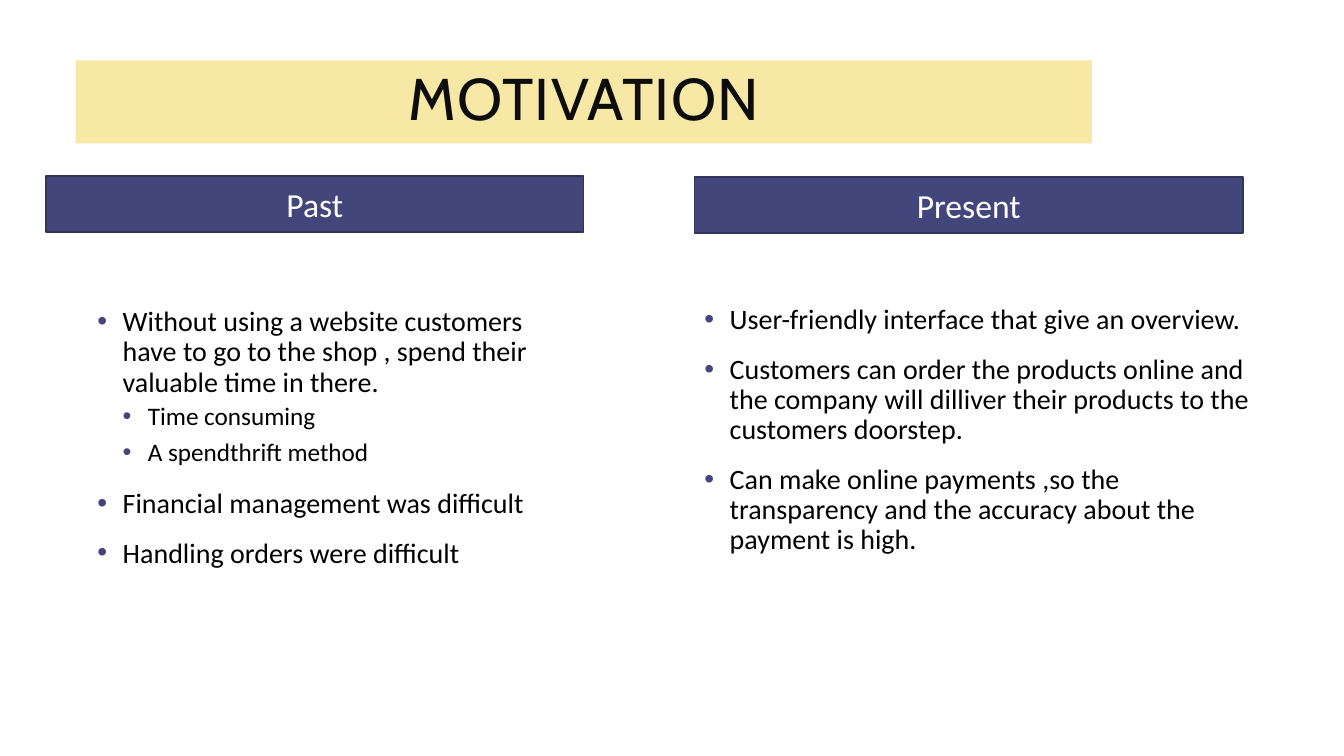
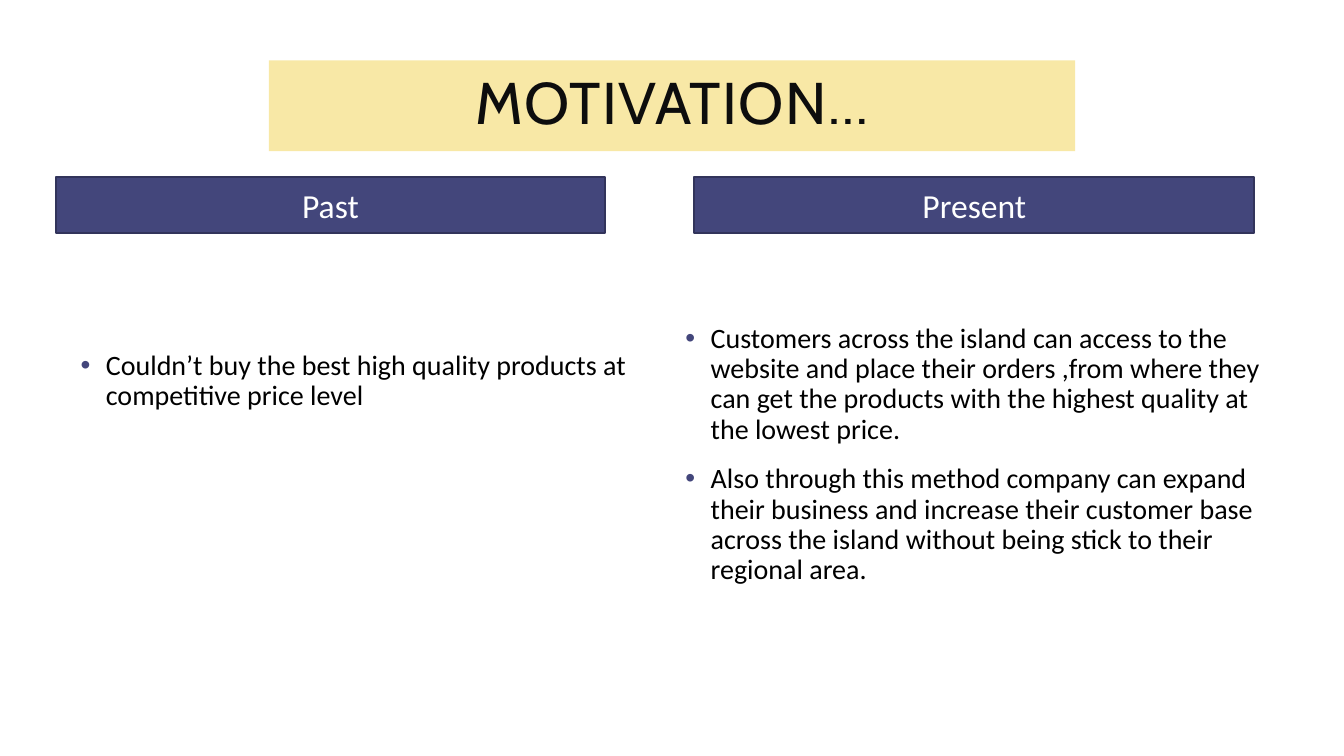
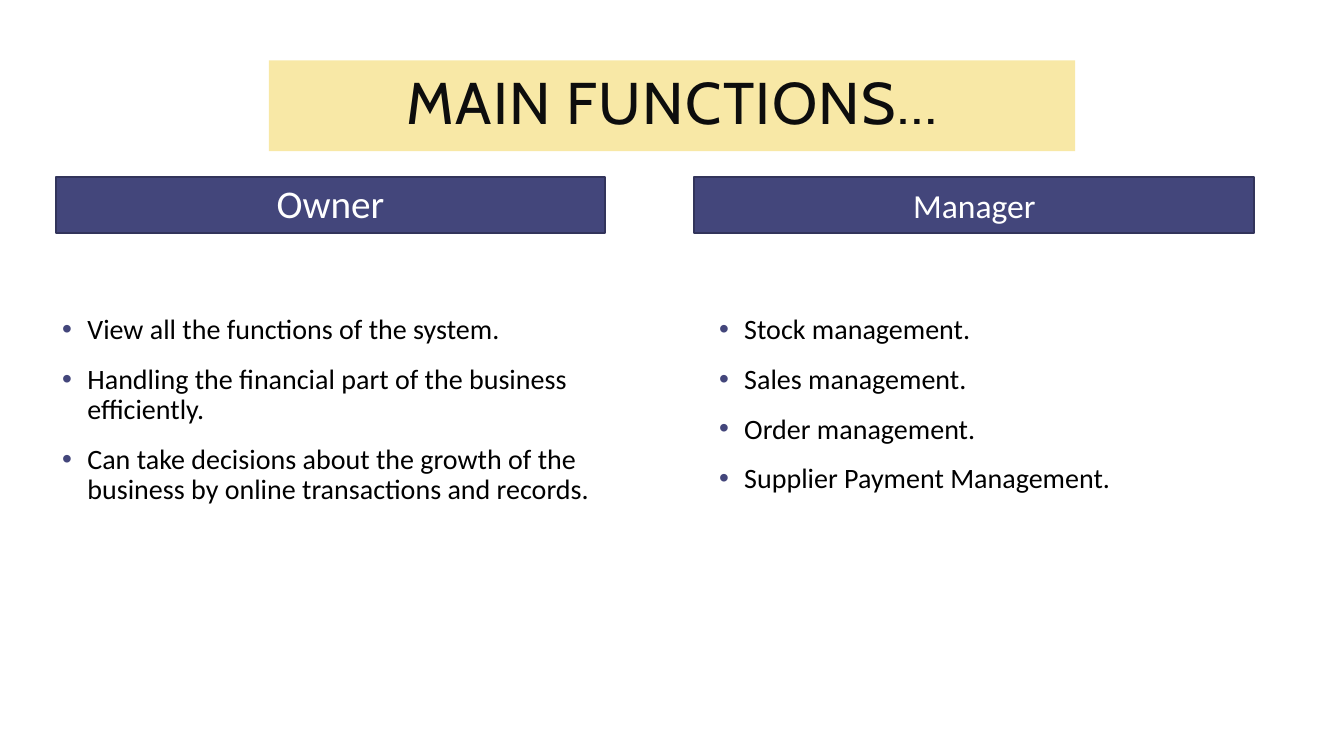
import pptx
import pptx.util
import pptx.dml.color
import pptx.enum.shapes
import pptx.enum.text
import pptx.oxml.ns
import lxml.etree

WIDE, HIGH = 13.33, 7.5
UNIT = WIDE / 120  # square grid, 120 columns across
GOLD, NAVY, EDGE = "F8E8A6", "43467B", "32345B"
INK, BLACK, WHITE = "0D0D0D", "000000", "FFFFFF"
PAD = 0.05
MID, TOP = pptx.enum.text.MSO_ANCHOR.MIDDLE, pptx.enum.text.MSO_ANCHOR.TOP
HEAD = {"size": 24}
BIG = {"size": 28, "gap": 0.9, "above": 12, "below": 2}
LEVELS = [{"size": 20, "above": 12, "below": 2},
          {"size": 18, "above": 2, "below": 4}]
WIDE_BAND = (24, 5.4, 72, 8.1)
LEFT_BAR, RIGHT_BAR = (5, 15.84, 49, 5), (62, 15.84, 50, 5)

# Boxes are (column, row, columns, rows); list items are (level, text).
SLIDES = [
    {"title": "MOTIVATION", "band": (6.75, 5.4, 90.75, 7.4), "sides": [
        {"head": "Past", "look": HEAD, "bar": (4.1, 15.75, 48, 5),
         "area": (8.25, 27, 40.5, 33.75), "items": [
            (0, "Without using a website customers have to go to the shop , "
                "spend their valuable time in there."),
            (1, "Time consuming"),
            (1, "A spendthrift method"),
            (0, "Financial management was difficult"),
            (0, "Handling orders were difficult")]},
        {"head": "Present", "look": HEAD, "bar": (62, 15.84, 49, 5),
         "area": (62.45, 26.8, 51.6, 30.3), "items": [
            (0, "User-friendly interface that give an overview."),
            (0, "Customers can order the products online and the company "
                "will dilliver their products to the customers doorstep."),
            (0, "Can make online payments ,so the transparency and the "
                "accuracy about the payment is high.")]}]},
    {"title": "MOTIVATION…", "band": WIDE_BAND, "sides": [
        {"head": "Past", "look": HEAD, "bar": LEFT_BAR,
         "area": (6.75, 30.9, 52.3, 30.3), "items": [
            (0, "Couldn’t buy the best high quality products at "
                "competitive price level")]},
        {"head": "Present", "look": HEAD, "bar": RIGHT_BAR,
         "area": (60.75, 28.5, 52.5, 30.3), "items": [
            (0, "Customers across the island can access to the website and "
                "place their orders ,from where they can get the products "
                "with the highest quality at the lowest price."),
            (0, "Also through this method company can expand their business "
                "and increase their customer base across the island without "
                "being stick to their regional area.")]}]},
    {"title": "MAIN FUNCTIONS…", "band": WIDE_BAND, "sides": [
        {"head": "Owner", "look": BIG, "bar": LEFT_BAR,
         "area": (5.1, 27.7, 52.3, 30.3), "items": [
            (0, "View all the functions of the system."),
            (0, "Handling the financial part of the business efficiently."),
            (0, "Can take decisions about the growth of the business by "
                "online transactions and records.")]},
        {"head": "Manager", "look": HEAD, "bar": RIGHT_BAR,
         "area": (63.75, 27.7, 52.5, 30.3), "items": [
            (0, "Stock management."),
            (0, "Sales management."),
            (0, "Order management."),
            (0, "Supplier Payment Management.")]}]},
]


def shade(text):
    """Turn a hex string into a colour."""
    return pptx.dml.color.RGBColor.from_string(text)


def place(box):
    """Turn a grid box into left, top, width and height."""
    return [pptx.util.Inches(part * UNIT) for part in box]


def move(shape, box):
    """Put a placeholder on a grid box."""
    shape.left, shape.top, shape.width, shape.height = place(box)


def paint(shape, fill):
    """Fill a shape with one colour."""
    shape.fill.solid()
    shape.fill.fore_color.rgb = shade(fill)


def frame(shape, anchor):
    """Set wrapping and anchor, and return the text frame."""
    text = shape.text_frame
    text.word_wrap = True
    text.auto_size = pptx.enum.text.MSO_AUTO_SIZE.NONE
    text.vertical_anchor = anchor
    return text


def write(para, text, size=20, font="Calibri", color=BLACK, align="LEFT",
          gap=1.0, above=0, below=0, track=0):
    """Write one formatted paragraph."""
    para.alignment = getattr(pptx.enum.text.PP_ALIGN, align)
    para.line_spacing = gap
    para.space_before = pptx.util.Pt(above)
    para.space_after = pptx.util.Pt(below)
    run = para.add_run()
    run.text = text
    run.font.size = pptx.util.Pt(size)
    run.font.name = font
    run.font.color.rgb = shade(color)
    if track:
        run._r.get_or_add_rPr().set("spc", str(track * 100))


def bullet(para, level):
    """Give a paragraph a navy bullet and a hanging indent."""
    para.level = level
    props = para._p.get_or_add_pPr()
    step = pptx.util.Inches(0.25)
    props.set("marL", str(step * (level + 1)))
    props.set("indent", str(-step))
    name = pptx.oxml.ns.qn
    tint = lxml.etree.SubElement(props, name("a:buClr"))
    lxml.etree.SubElement(tint, name("a:srgbClr")).set("val", NAVY)
    lxml.etree.SubElement(props, name("a:buFont")).set("typeface", "Arial")
    lxml.etree.SubElement(props, name("a:buChar")).set("char", "•")


def banner(shape, text, box):
    """Make the title a gold band."""
    move(shape, box)
    paint(shape, GOLD)
    write(frame(shape, MID).paragraphs[0], text, size=42, font="Cabin",
          color=INK, align="CENTER", gap=0.9, track=1)


def header(slide, text, box, look):
    """Add a navy bar with a column heading."""
    kind = pptx.enum.shapes.MSO_SHAPE.RECTANGLE
    bar = slide.shapes.add_shape(kind, *place(box))
    bar.shadow.inherit = False
    paint(bar, NAVY)
    bar.line.color.rgb = shade(EDGE)
    bar.line.width = pptx.util.Pt(1.25)
    write(frame(bar, MID).paragraphs[0], text, color=WHITE, align="CENTER",
          **look)


def listing(shape, items, box):
    """Fill a body placeholder with bulleted items."""
    move(shape, box)
    text = frame(shape, TOP)
    text.margin_left = text.margin_right = pptx.util.Inches(PAD)
    text.margin_top = text.margin_bottom = pptx.util.Inches(PAD)
    for spot, (level, words) in enumerate(items):
        para = text.add_paragraph() if spot else text.paragraphs[0]
        write(para, words, gap=0.9, **LEVELS[level])
        bullet(para, level)


deck = pptx.Presentation()
deck.slide_width = pptx.util.Inches(WIDE)
deck.slide_height = pptx.util.Inches(HIGH)
layout = deck.slide_layouts.get_by_name("Two Content")
for page in SLIDES:
    slide = deck.slides.add_slide(layout)
    title, *bodies = slide.placeholders
    banner(title, page["title"], page["band"])
    for body, side in zip(bodies, page["sides"]):
        header(slide, side["head"], side["bar"], side["look"])
        listing(body, side["items"], side["area"])
deck.save("out.pptx")
